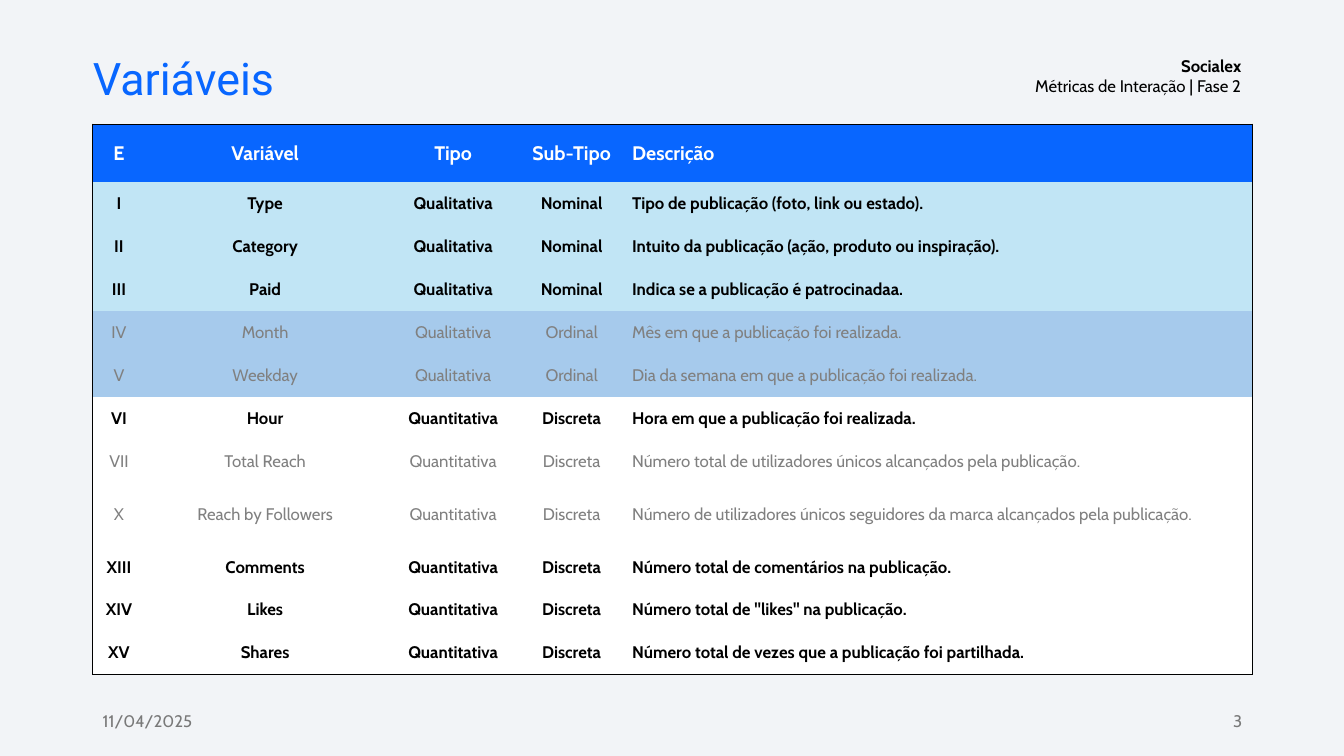
from dataclasses import dataclass

import pptx
import pptx.dml.color
import pptx.enum.text
import pptx.oxml
import pptx.oxml.ns
import pptx.util
from pptx.util import Inches

ALIGN = pptx.enum.text.PP_ALIGN
MIDDLE = pptx.enum.text.MSO_ANCHOR.MIDDLE

COLOURS = {
    "page": "F2F4F7",
    "brand": "0866FF",
    "nominal": "C1E5F5",
    "ordinal": "A6CAEC",
    "discrete": "FFFFFF",
    "white": "FFFFFF",
    "black": "000000",
    "muted": "808080",
    "footer": "797979",
}
FONT = "Cabin"


@dataclass(frozen=True)
class Label:
    lines: tuple[str, ...]
    left: float
    top: float
    width: float
    height: float
    colour: str
    size: int = 12
    font: str = FONT
    align: ALIGN = ALIGN.LEFT
    bold_first: bool = False
    margins: tuple[float, float, float, float] = (0.1, 0.05, 0.1, 0.05)


@dataclass(frozen=True)
class Kind:
    name: str
    subtype: str
    fill: str


@dataclass(frozen=True)
class Variable:
    number: str
    name: str
    kind: Kind
    description: str
    selected: bool = True


@dataclass(frozen=True)
class RowStyle:
    fill: str
    colour: str
    size: int
    bold: bool


LABELS = [
    Label(("Variáveis",), 0.92, 0.5, 5.75, 0.5, "brand", size=32, font="Roboto",
          margins=(0, 0.05, 0, 0)),
    Label(("Socialex", "Métricas de Interação | Fase 2"), 9.33, 0.5, 3.08, 0.5, "black",
          align=ALIGN.RIGHT, bold_first=True),
    Label(("11/04/2025",), 0.92, 6.95, 3, 0.4, "footer"),
    Label(("3",), 9.42, 6.95, 3, 0.4, "footer", align=ALIGN.RIGHT),
]

NOMINAL = Kind("Qualitativa", "Nominal", "nominal")
ORDINAL = Kind("Qualitativa", "Ordinal", "ordinal")
DISCRETE = Kind("Quantitativa", "Discreta", "discrete")

HEADINGS = ("E", "Variável", "Tipo", "Sub-Tipo", "Descrição")
VARIABLES = [
    Variable("I", "Type", NOMINAL, "Tipo de publicação (foto, link ou estado)."),
    Variable("II", "Category", NOMINAL, "Intuito da publicação (ação, produto ou inspiração)."),
    Variable("III", "Paid", NOMINAL, "Indica se a publicação é patrocinadaa."),
    Variable("IV", "Month", ORDINAL, "Mês em que a publicação foi realizada.", False),
    Variable("V", "Weekday", ORDINAL, "Dia da semana em que a publicação foi realizada.", False),
    Variable("VI", "Hour", DISCRETE, "Hora em que a publicação foi realizada."),
    Variable("VII", "Total Reach", DISCRETE,
             "Número total de utilizadores únicos alcançados pela publicação.", False),
    Variable("X", "Reach by Followers", DISCRETE,
             "Número de utilizadores únicos seguidores da marca alcançados pela publicação.", False),
    Variable("XIII", "Comments", DISCRETE, "Número total de comentários na publicação."),
    Variable("XIV", "Likes", DISCRETE, 'Número total de "likes" na publicação.'),
    Variable("XV", "Shares", DISCRETE, "Número total de vezes que a publicação foi partilhada."),
]

TABLE_LEFT, TABLE_TOP, TABLE_WIDTH, TABLE_HEIGHT = 0.92, 1.23, 11.5, 5.46
NARROW_COLUMNS = [0.52, 2.38, 1.35, 1]
COLUMN_WIDTHS = NARROW_COLUMNS + [TABLE_WIDTH - sum(NARROW_COLUMNS)]
SPECIAL_HEIGHTS = {0: 0.58, 8: 0.62}
ROW_COUNT = len(VARIABLES) + 1
PLAIN_HEIGHT = (TABLE_HEIGHT - sum(SPECIAL_HEIGHTS.values())) / (ROW_COUNT - len(SPECIAL_HEIGHTS))


def rgb(name: str) -> pptx.dml.color.RGBColor:
    return pptx.dml.color.RGBColor.from_string(COLOURS[name])


def set_font(font, name: str, size: int, colour: str, bold: bool = False) -> None:
    font.name = name
    font.size = pptx.util.Pt(size)
    font.bold = bold
    font.color.rgb = rgb(colour)


def add_label(page, label: Label) -> None:
    box = page.shapes.add_textbox(*map(Inches, (label.left, label.top, label.width, label.height)))
    frame = box.text_frame
    frame.word_wrap = True
    frame.vertical_anchor = MIDDLE
    (frame.margin_left, frame.margin_top,
     frame.margin_right, frame.margin_bottom) = map(Inches, label.margins)
    for index, line in enumerate(label.lines):
        para = frame.add_paragraph() if index else frame.paragraphs[0]
        para.text = line
        para.alignment = label.align
        set_font(para.font, label.font, label.size, label.colour,
                 label.bold_first and index == 0)


def set_borders(cell, row: int, column: int) -> None:
    """Draw the table's outer edge and clear the lines inside it."""
    outer = {
        "lnL": column == 0,
        "lnR": column == len(HEADINGS) - 1,
        "lnT": row == 0,
        "lnB": row == ROW_COUNT - 1,
    }
    properties = cell._tc.get_or_add_tcPr()
    for tag, drawn in outer.items():
        paint = (f'<a:solidFill><a:srgbClr val="{COLOURS["black"]}"/></a:solidFill>'
                 if drawn else "<a:noFill/>")
        properties.append(pptx.oxml.parse_xml(
            f'<a:{tag} {pptx.oxml.ns.nsdecls("a")} w="{pptx.util.Pt(0.75)}">{paint}</a:{tag}>'))


def fill_cell(cell, text: str, style: RowStyle, centred: bool) -> None:
    cell.fill.solid()
    cell.fill.fore_color.rgb = rgb(style.fill)
    cell.vertical_anchor = MIDDLE
    para = cell.text_frame.paragraphs[0]
    para.text = text
    set_font(para.font, FONT, style.size, style.colour, style.bold)
    if centred:
        cell.margin_left = cell.margin_right = Inches(0.07)
        cell.margin_top = cell.margin_bottom = 0
        para.alignment = ALIGN.CENTER
        para.space_before = para.space_after = pptx.util.Pt(3)


def add_variable_table(page) -> None:
    table = page.shapes.add_table(
        ROW_COUNT, len(HEADINGS),
        *map(Inches, (TABLE_LEFT, TABLE_TOP, TABLE_WIDTH, TABLE_HEIGHT))).table
    table.horz_banding = False
    for column, width in zip(table.columns, COLUMN_WIDTHS):
        column.width = Inches(width)
    rows = [(HEADINGS, RowStyle("brand", "white", 14, True))]
    for item in VARIABLES:
        texts = (item.number, item.name, item.kind.name, item.kind.subtype, item.description)
        colour = "black" if item.selected else "muted"
        rows.append((texts, RowStyle(item.kind.fill, colour, 12, item.selected)))
    for row, (texts, style) in enumerate(rows):
        table.rows[row].height = Inches(SPECIAL_HEIGHTS.get(row, PLAIN_HEIGHT))
        for column, text in enumerate(texts):
            cell = table.cell(row, column)
            set_borders(cell, row, column)
            fill_cell(cell, text, style, centred=column < len(HEADINGS) - 1)


def main() -> None:
    deck = pptx.Presentation()
    deck.slide_width, deck.slide_height = Inches(13.33), Inches(7.5)
    page = deck.slides.add_slide(deck.slide_layouts[6])
    page.background.fill.solid()
    page.background.fill.fore_color.rgb = rgb("page")
    for label in LABELS:
        add_label(page, label)
    add_variable_table(page)
    deck.save("out.pptx")


if __name__ == "__main__":
    main()
